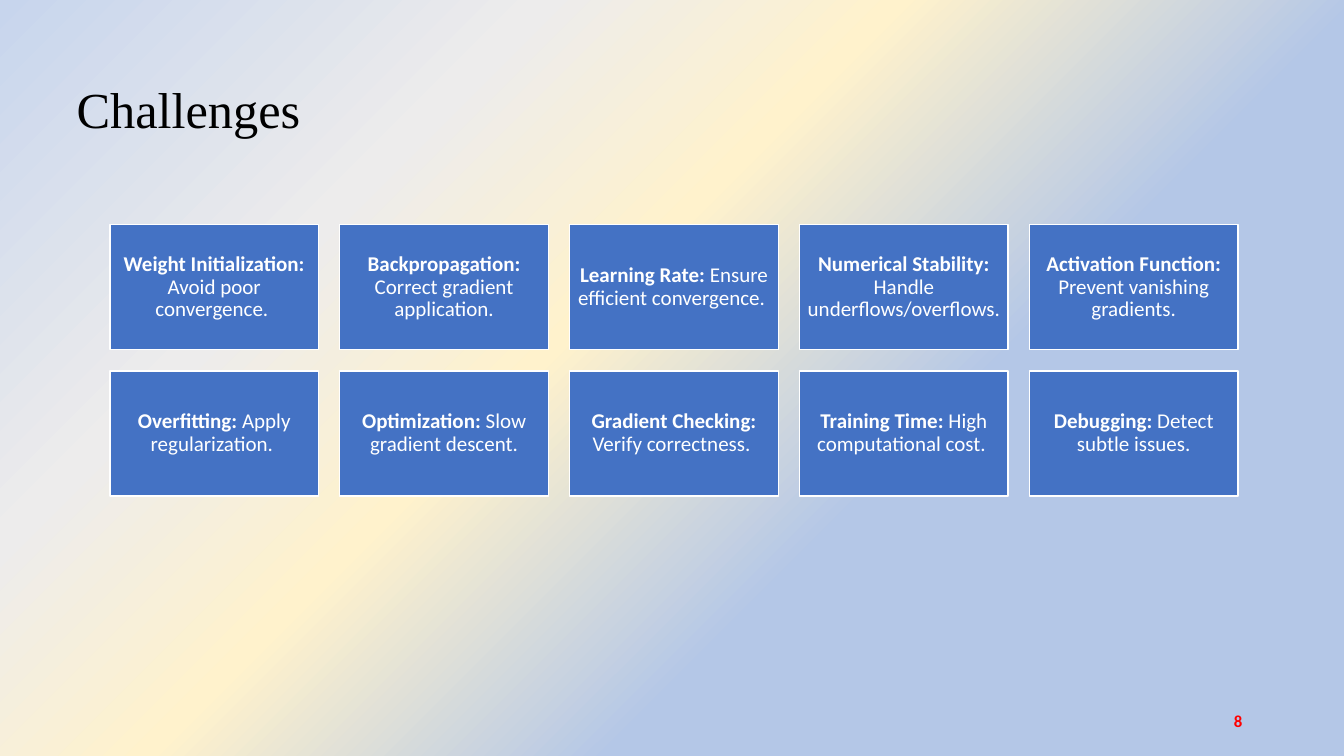
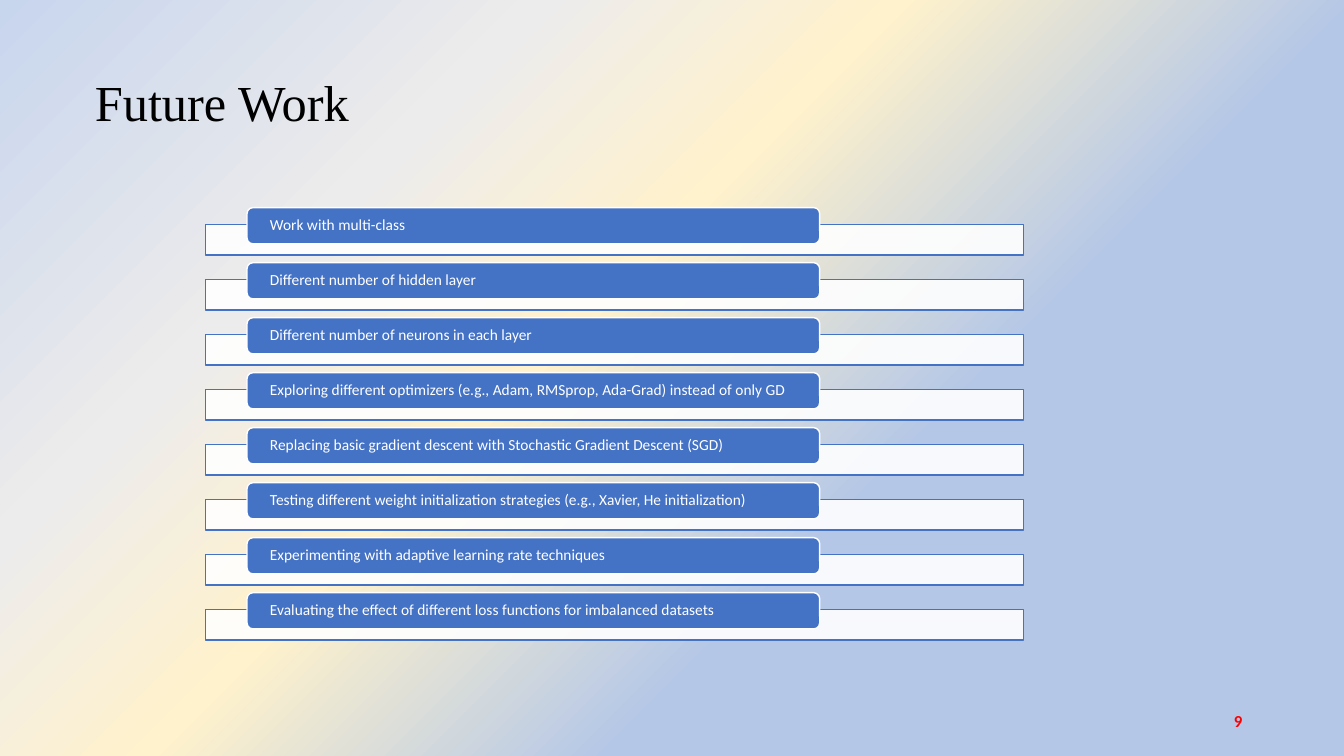
from copy import deepcopy

from lxml import etree
from pptx import Presentation
from pptx import util as u
from pptx.dml.color import RGBColor
from pptx.enum import shapes, text
from pptx.oxml import ns

BLUE, WHITE, BLACK, RED = "4472C4", "FFFFFF", "000000", "FF0000"
BODY, HEAD = "Calibri", "Times New Roman"
STOPS = [(0, "C7D5ED"), (0.26, "EDECEC"), (0.43, "FFF2CC"),
         (0.65, "B4C7E7"), (1, "B4C7E7")]

RISKS = [
    ("Weight Initialization: ", "Avoid poor convergence. "),
    ("Backpropagation: ", "Correct gradient application."),
    ("Learning Rate: ", "Ensure efficient convergence. "),
    ("Numerical Stability: ", "Handle underflows/overflows. "),
    ("Activation Function:", " Prevent vanishing gradients."),
    ("Overfitting: ", "Apply regularization. "),
    ("Optimization: ", "Slow gradient descent."),
    ("Gradient Checking: ", "Verify correctness. "),
    ("Training Time: ", "High computational cost. "),
    ("Debugging: ", "Detect subtle issues."),
]
PLANS = [
    "Work with multi-class",
    "Different number of hidden layer",
    "Different number of neurons in each layer",
    "Exploring different optimizers (e.g., Adam, RMSprop, Ada-Grad) instead of only GD",
    "Replacing basic gradient descent with Stochastic Gradient Descent (SGD)",
    "Testing different weight initialization strategies (e.g., Xavier, He initialization)",
    "Experimenting with adaptive learning rate techniques",
    "Evaluating the effect of different loss functions for imbalanced datasets",
]


def color(code):
    return RGBColor.from_string(code)


def box(*sides):
    return [u.Inches(side) for side in sides]


def add_run(para, words, size, code, font=BODY, bold=False):
    run = para.add_run()
    run.text = words
    run.font.size = u.Pt(size)
    run.font.name = font
    run.font.bold = bold
    run.font.color.rgb = color(code)


def set_frame(frame, align, anchor, inset=(0.1, 0.05)):
    frame.word_wrap = True
    frame.vertical_anchor = anchor
    frame.margin_left = frame.margin_right = u.Inches(inset[0])
    frame.margin_top = frame.margin_bottom = u.Inches(inset[1])
    para = frame.paragraphs[0]
    para.alignment = align
    return para


def add_block(slide, kind, place, fill, line):
    block = slide.shapes.add_shape(kind, *box(*place))
    block.shadow.inherit = False
    block.fill.solid()
    block.fill.fore_color.rgb = color(fill)
    block.line.color.rgb = color(line)
    block.line.width = u.Pt(1)
    return block


def set_alpha(block, share):
    tint = block.element.spPr.find(ns.qn("a:solidFill")).find(ns.qn("a:srgbClr"))
    etree.SubElement(tint, ns.qn("a:alpha")).set("val", str(share * 1000))


def paint_back(deck):
    master = deck.slide_master
    fill = master.background.fill
    fill.gradient()
    fill.gradient_angle = 315
    stops = next(master.element.iter(ns.qn("a:gsLst")))
    while len(stops) < len(STOPS):
        stops.append(deepcopy(stops[0]))
    for stop, (place, code) in zip(fill.gradient_stops, STOPS):
        stop.color.rgb = color(code)
        stop.position = place


def add_slide(deck, title, place, number):
    slide = deck.slides.add_slide(deck.slide_layouts[5])
    head = slide.shapes.title
    head.left, head.top, head.width, head.height = box(*place)
    para = set_frame(head.text_frame, text.PP_ALIGN.LEFT, text.MSO_ANCHOR.TOP)
    add_run(para, title, 36, BLACK, HEAD)
    foot = slide.shapes.add_textbox(*box(9.42, 6.95, 3, 0.4))
    para = set_frame(foot.text_frame, text.PP_ALIGN.RIGHT, text.MSO_ANCHOR.MIDDLE)
    add_run(para, str(number), 12, RED, bold=True)
    return slide


def add_card(slide, left, top, label, note):
    card = add_block(slide, shapes.MSO_SHAPE.RECTANGLE,
                     (left, top, 2.07, 1.24), BLUE, WHITE)
    para = set_frame(card.text_frame, text.PP_ALIGN.CENTER,
                     text.MSO_ANCHOR.MIDDLE, (0.06, 0.06))
    para.line_spacing = 0.9
    add_run(para, label, 15, WHITE, bold=True)
    add_run(para, note, 15, WHITE)


def add_plan(slide, top, words):
    bar = add_block(slide, shapes.MSO_SHAPE.RECTANGLE,
                    (2.04, top + 0.17, 8.11, 0.3), WHITE, BLUE)
    set_alpha(bar, 90)
    pill = add_block(slide, shapes.MSO_SHAPE.ROUNDED_RECTANGLE,
                     (2.45, top, 5.68, 0.36), BLUE, WHITE)
    para = set_frame(pill.text_frame, text.PP_ALIGN.LEFT,
                     text.MSO_ANCHOR.MIDDLE, (0.21, 0))
    para.line_spacing = 0.9
    add_run(para, words, 11, WHITE)


def main():
    deck = Presentation()
    deck.slide_width, deck.slide_height = box(13.33, 7.5)
    paint_back(deck)

    slide = add_slide(deck, "Challenges", (0.66, 0.72, 2.55, 0.71), 8)
    for i, (label, note) in enumerate(RISKS):
        row, col = divmod(i, 5)
        add_card(slide, 1.09 + col * 2.28, 2.23 + row * 1.45, label, note)

    slide = add_slide(deck, "Future Work", (0.84, 0.66, 3.85, 0.71), 9)
    step = (5.88 - 2.06) / (len(PLANS) - 1)
    for i, words in enumerate(PLANS):
        add_plan(slide, 2.06 + i * step, words)

    deck.save("out.pptx")


if __name__ == "__main__":
    main()
